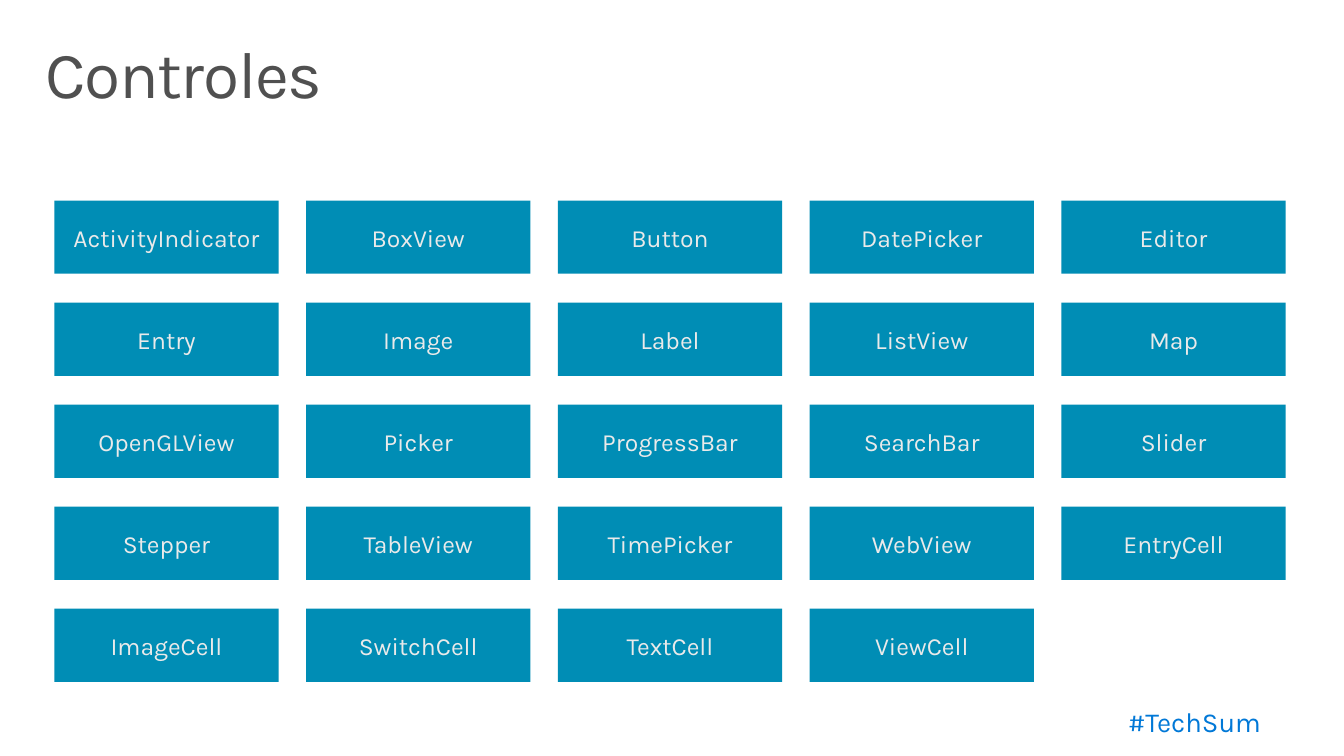
from pptx import Presentation
from pptx.dml.color import RGBColor
from pptx.enum import shapes, text
from pptx.util import Inches, Pt

FONT = "Karla"
TILE_BLUE = RGBColor(0x00, 0x8D, 0xB5)
TILE_TEXT = RGBColor(0xEA, 0xEA, 0xEA)
TITLE_GRAY = RGBColor(0x50, 0x50, 0x50)
TAG_BLUE = RGBColor(0x00, 0x78, 0xD7)

COLUMNS, ROWS = 5, 5
TILE_WIDTH, TILE_HEIGHT = 2.27, 0.74
CONTROLS = [
    "ActivityIndicator", "BoxView", "Button", "DatePicker", "Editor",
    "Entry", "Image", "Label", "ListView", "Map",
    "OpenGLView", "Picker", "ProgressBar", "SearchBar", "Slider",
    "Stepper", "TableView", "TimePicker", "WebView", "EntryCell",
    "ImageCell", "SwitchCell", "TextCell", "ViewCell",
]


def write_text(shape, words, size, color, align):
    para = shape.text_frame.paragraphs[0]
    para.text = words
    para.alignment = align
    para.font.name = FONT
    para.font.size = Pt(size)
    para.font.color.rgb = color
    return para


def add_label(page, box, words, size, color, align, insets):
    """Add one line of free text; insets are horizontal and vertical."""
    label = page.shapes.add_textbox(*map(Inches, box))
    frame = label.text_frame
    frame.word_wrap = True
    frame.margin_left = frame.margin_right = Inches(insets[0])
    frame.margin_top = frame.margin_bottom = Inches(insets[1])
    para = write_text(label, words, size, color, align)
    para.line_spacing = 0.9
    return para


def add_title(page, box):
    para = add_label(page, box, "Controles", 48, TITLE_GRAY,
                     text.PP_ALIGN.LEFT, (0.16, 0.1))
    # Tighten the letters by one point
    para.runs[0].font._element.set("spc", "-100")


def add_hashtag(page, box):
    para = add_label(page, box, "#TechSum", 20, TAG_BLUE,
                     text.PP_ALIGN.RIGHT, (0.2, 0.16))
    para.space_after = Pt(6)


def add_control_grid(page, box):
    left, top, width, height = box
    column_step = (width - TILE_WIDTH) / (COLUMNS - 1)
    row_step = (height - TILE_HEIGHT) / (ROWS - 1)
    for index, name in enumerate(CONTROLS):
        row, column = divmod(index, COLUMNS)
        tile = page.shapes.add_shape(
            shapes.MSO_SHAPE.ROUNDED_RECTANGLE,
            Inches(left + column * column_step),
            Inches(top + row * row_step),
            Inches(TILE_WIDTH), Inches(TILE_HEIGHT))
        tile.adjustments[0] = 0
        tile.shadow.inherit = False
        tile.fill.solid()
        tile.fill.fore_color.rgb = TILE_BLUE
        tile.line.fill.background()
        tile.text_frame.word_wrap = True
        tile.text_frame.vertical_anchor = text.MSO_ANCHOR.MIDDLE
        write_text(tile, name, 18, TILE_TEXT, text.PP_ALIGN.CENTER)


def main():
    deck = Presentation()
    deck.slide_width, deck.slide_height = Inches(13.6), Inches(7.65)
    page = deck.slides.add_slide(deck.slide_layouts[6])
    add_hashtag(page, (8.97, 7.02, 3.99, 0.63))
    add_control_grid(page, (0.55, 2.03, 12.46, 4.87))
    add_title(page, (0.3, 0.32, 13, 1))
    deck.save("out.pptx")


if __name__ == "__main__":
    main()
